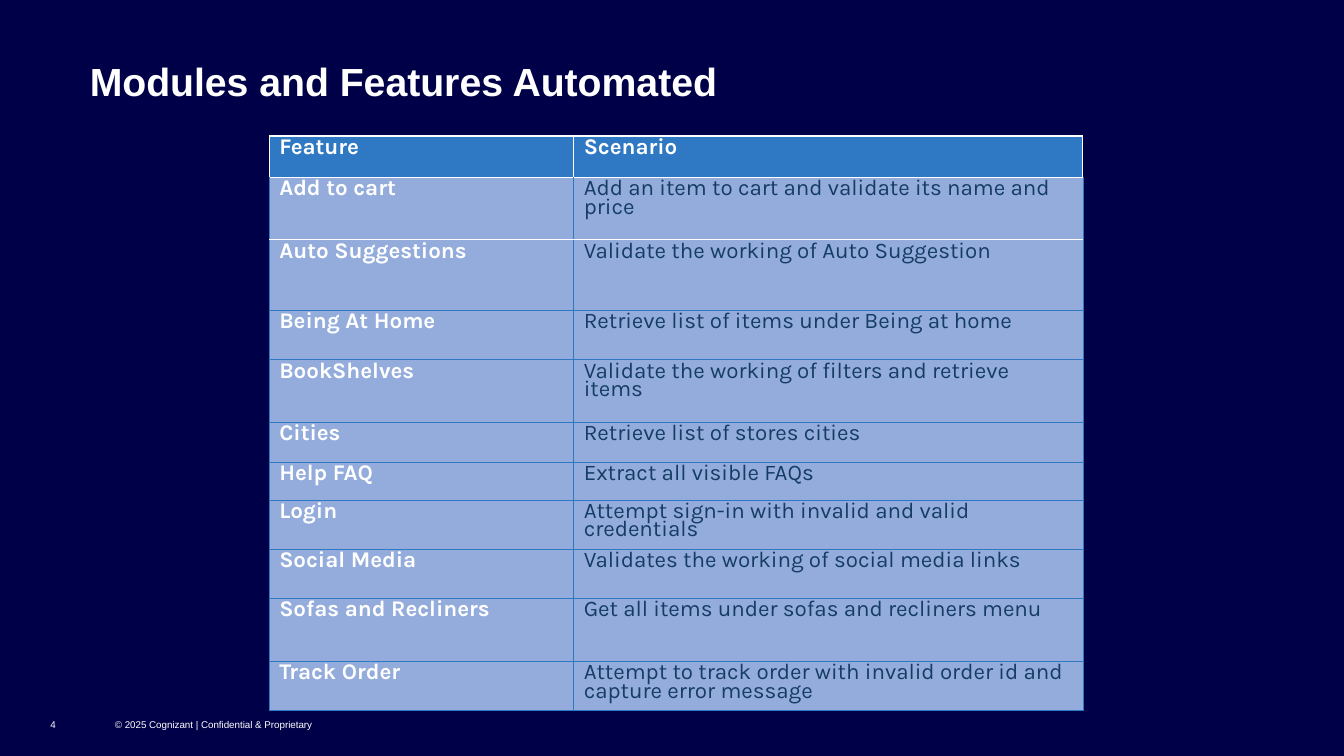
"""Builds the slide listing the automated modules and their test scenarios."""
from typing import NamedTuple

from lxml.etree import SubElement
from pptx import Presentation
from pptx.dml.color import RGBColor
from pptx.enum.text import MSO_ANCHOR
from pptx.oxml.ns import qn
from pptx.slide import Slide
from pptx.table import _Cell
from pptx.util import Inches, Pt

NAVY, BLUE, PALE_BLUE, INK, WHITE = "000048", "2F78C4", "93ACDC", "153D63", "FFFFFF"


class Label(NamedTuple):
    text: str
    left: float
    top: float
    width: float
    height: float
    size: float
    bold: bool = False
    anchor: MSO_ANCHOR = MSO_ANCHOR.BOTTOM
    wrap: bool = False


class Module(NamedTuple):
    feature: str
    scenario: str
    height: float


LABELS = [
    Label("© 2025 Cognizant | Confidential & Proprietary", 1.14, 6.92, 1.99, 0.33, 7),
    Label("4", 0.5, 6.92, 0.39, 0.33, 7),
    Label("Modules and Features Automated", 0.89, 0.57, 8.85, 0.47, 28, True, MSO_ANCHOR.TOP, True),
]
COLUMN_WIDTHS = [3.02, 5.05]
MODULES = [
    Module("Feature", "Scenario", 0.41),
    Module("Add to cart", "Add an item to cart and validate its name and price", 0.62),
    Module("Auto Suggestions", "Validate the working of Auto Suggestion", 0.7),
    Module("Being At Home", "Retrieve list of items under Being at home", 0.49),
    Module("BookShelves", "Validate the working of filters and retrieve items", 0.62),
    Module("Cities", "Retrieve list of stores cities", 0.4),
    Module("Help FAQ", "Extract all visible FAQs", 0.37),
    Module("Login", "Attempt sign-in with invalid and valid credentials", 0.49),
    Module("Social Media", "Validates the working of social media links", 0.49),
    Module("Sofas and Recliners", "Get all items under sofas and recliners menu", 0.62),
    Module("Track Order", "Attempt to track order with invalid order id and capture error message", 0.49),
]


def rgb(color: str) -> RGBColor:
    return RGBColor.from_string(color)


def add_label(slide: Slide, label: Label) -> None:
    box = slide.shapes.add_textbox(
        Inches(label.left), Inches(label.top), Inches(label.width), Inches(label.height)
    )
    frame = box.text_frame
    frame.word_wrap = label.wrap
    frame.vertical_anchor = label.anchor
    frame.margin_left = frame.margin_right = frame.margin_top = frame.margin_bottom = 0
    line = frame.paragraphs[0]
    line.text = label.text
    line.font.name = "Arial"
    line.font.size = Pt(label.size)
    line.font.bold = label.bold
    line.font.color.rgb = rgb(WHITE)


def add_border(cell: _Cell, side: str, color: str, width: float) -> None:
    border = SubElement(cell._tc.get_or_add_tcPr(), qn(f"a:ln{side}"), w=str(Pt(width)))
    SubElement(SubElement(border, qn("a:solidFill")), qn("a:srgbClr"), val=color)


def fill_cell(cell: _Cell, text: str, row: int, column: int) -> None:
    white_sides = {0: "LRTB", 1: "TB", 2: "T"}.get(row, "")
    for side in "LRTB":
        white = side in white_sides
        add_border(cell, side, WHITE if white else BLUE, 1 if white else 0.5)
    cell.fill.solid()
    cell.fill.fore_color.rgb = rgb(PALE_BLUE if row else BLUE)
    emphasized = row == 0 or column == 0
    line = cell.text_frame.paragraphs[0]
    line.text = text
    line.line_spacing = Pt(13.5)
    line.font.name = "Karla"
    line.font.size = Pt(16)
    line.font.bold = emphasized
    line.font.color.rgb = rgb(WHITE if emphasized else INK)


def add_modules(slide: Slide) -> None:
    frame = slide.shapes.add_table(
        len(MODULES), len(COLUMN_WIDTHS), Inches(2.67), Inches(1.35),
        Inches(sum(COLUMN_WIDTHS)), Inches(sum(module.height for module in MODULES)),
    )
    table = frame.table
    for column, width in zip(table.columns, COLUMN_WIDTHS):
        column.width = Inches(width)
    for row, module in enumerate(MODULES):
        table.rows[row].height = Inches(module.height)
        for column, text in enumerate((module.feature, module.scenario)):
            fill_cell(table.cell(row, column), text, row, column)


def main() -> None:
    deck = Presentation()
    deck.slide_width, deck.slide_height = Inches(13.33), Inches(7.5)
    slide = deck.slides.add_slide(deck.slide_layouts[6])
    slide.background.fill.solid()
    slide.background.fill.fore_color.rgb = rgb(NAVY)
    add_modules(slide)
    for label in LABELS:
        add_label(slide, label)
    deck.save("out.pptx")


if __name__ == "__main__":
    main()
